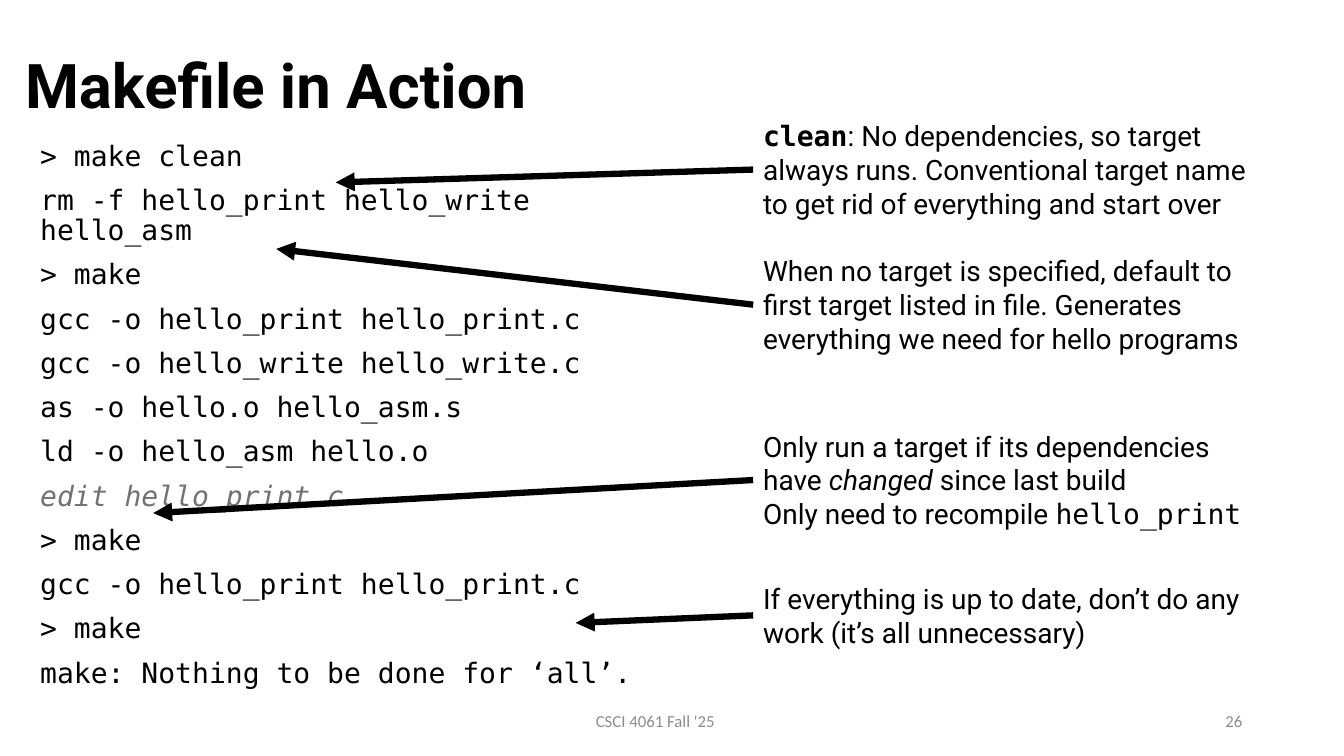
from lxml.etree import SubElement
from pptx import Presentation
from pptx.dml.color import RGBColor
from pptx.enum.shapes import MSO_CONNECTOR
from pptx.enum.text import MSO_ANCHOR as Anchor, MSO_AUTO_SIZE as AutoSize, PP_ALIGN as Align
from pptx.oxml.ns import qn
from pptx.util import Inches, Pt

COLORS = {"ink": "000000", "edit": "767171", "footer": "8C8C8C"}
SANS, MONO, SMALL = "Roboto", "DejaVu Sans Mono", "Calibri"

TITLE = "Makefile in Action"
FOOTER = "CSCI 4061 Fall '25"
PAGE = "26"
EDIT_STEP = "edit hello_print.c"
SESSION = [
    "> make clean",
    "rm -f hello_print hello_write hello_asm",
    "> make",
    "gcc -o hello_print hello_print.c",
    "gcc -o hello_write hello_write.c",
    "as -o hello.o hello_asm.s",
    "ld -o hello_asm hello.o",
    EDIT_STEP,
    "> make",
    "gcc -o hello_print hello_print.c",
    "> make",
    "make: Nothing to be done for ‘all’.",
]
BOLD, ITALIC, CODE = "bold", "italic", "code"
BREAK = None
# Each note: top, number of lines, arrow target, text pieces with their styles
NOTES = [
    (1.13, 3, (3.33, 1.81), [
        ("clean", {BOLD, CODE}),
        (": No dependencies, so target always runs. Conventional target name "
         "to get rid of everything and start over", set())]),
    (2.47, 3, (2.74, 2.47), [
        ("When no target is specified, default to first target listed in file. "
         "Generates everything we need for hello programs", set())]),
    (4.21, 3, (1.52, 5.09), [
        ("Only run a target if its dependencies have ", set()),
        ("changed", {ITALIC}),
        (" since last build", set()),
        (BREAK, set()),
        ("Only need to recompile ", set()),
        ("hello_print", {CODE})]),
    (5.72, 2, (5.71, 6.18), [
        ("If everything is up to date, don’t do any work "
         "(it’s all unnecessary)", set())]),
]
NOTE_LEFT, NOTE_WIDTH = 7.47, 5.19
LINE_HEIGHT, NOTE_PADDING = 0.335, 0.1
FOOTER_TOP, FOOTER_HEIGHT = 6.95, 0.4


def style(run, size, font, color="ink", bold=False, italic=False):
    run.font.size = Pt(size)
    run.font.name = font
    run.font.bold = bold
    run.font.italic = italic
    run.font.color.rgb = RGBColor.from_string(COLORS[color])


def add_text(slide, left, top, width, height, text="", anchor=Anchor.TOP):
    box = slide.shapes.add_textbox(*map(Inches, (left, top, width, height)))
    frame = box.text_frame
    frame.word_wrap = True
    frame.vertical_anchor = anchor
    frame.text = text
    return box


def add_footer(slide, left, width, text, align):
    box = add_text(slide, left, FOOTER_TOP, width, FOOTER_HEIGHT, text, Anchor.MIDDLE)
    line = box.text_frame.paragraphs[0]
    line.alignment = align
    style(line.runs[0], 12, SMALL, "footer")


def add_arrow(slide, note, target):
    arrow = slide.shapes.add_connector(
        MSO_CONNECTOR.STRAIGHT, 0, 0, *map(Inches, target))
    arrow.begin_connect(note, 1)
    arrow.line.width = Pt(4.5)
    arrow.line.color.rgb = RGBColor.from_string(COLORS["ink"])
    SubElement(arrow.line._get_or_add_ln(), qn("a:tailEnd"), type="triangle")
    SubElement(arrow._element.spPr, qn("a:effectLst"))


def add_note(slide, top, lines, target, pieces):
    height = lines * LINE_HEIGHT + NOTE_PADDING
    note = add_text(slide, NOTE_LEFT, top, NOTE_WIDTH, height)
    note.text_frame.auto_size = AutoSize.SHAPE_TO_FIT_TEXT
    paragraph = note.text_frame.paragraphs[0]
    for text, marks in pieces:
        if text is BREAK:
            paragraph.add_line_break()
            continue
        run = paragraph.add_run()
        run.text = text
        style(run, 20, MONO if CODE in marks else SANS,
              bold=BOLD in marks, italic=ITALIC in marks)
    add_arrow(slide, note, target)


def main():
    deck = Presentation()
    deck.slide_width, deck.slide_height = Inches(13.33), Inches(7.5)
    slide = deck.slides.add_slide(deck.slide_layouts[6])

    title = add_text(slide, 0.15, 0.15, 11.5, 1.45, TITLE, Anchor.MIDDLE)
    heading = title.text_frame.paragraphs[0]
    heading.line_spacing = 0.9
    style(heading.runs[0], 44, SANS, bold=True)

    session = add_text(slide, 0.3, 1.36, 6.64, 5.25, "\n".join(SESSION))
    for step in session.text_frame.paragraphs:
        step.line_spacing = 0.9
        step.space_before = Pt(10)
        edited = step.text == EDIT_STEP
        style(step.runs[0], 20, MONO, "edit" if edited else "ink", italic=edited)

    add_footer(slide, 4.25, 4.5, FOOTER, Align.CENTER)
    add_footer(slide, 9.42, 3, PAGE, Align.RIGHT)
    for note in NOTES:
        add_note(slide, *note)

    deck.save("out.pptx")


if __name__ == "__main__":
    main()
